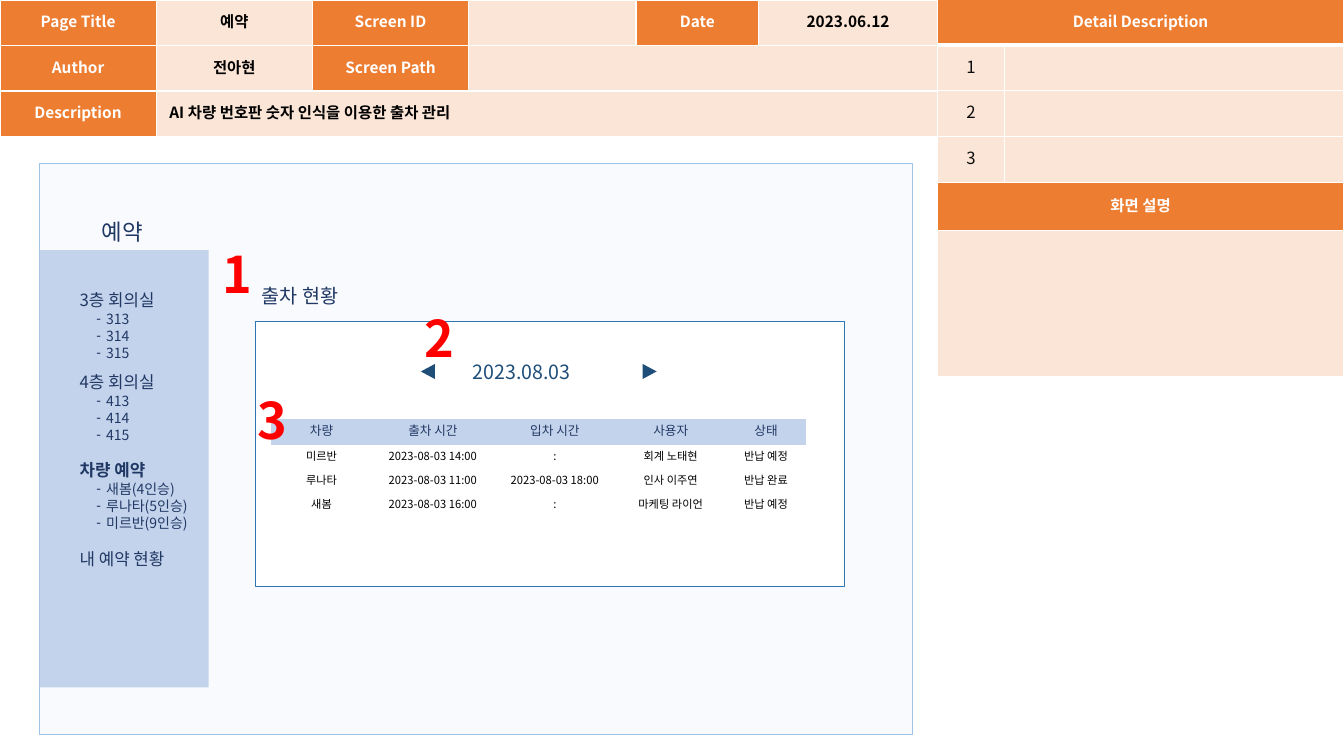
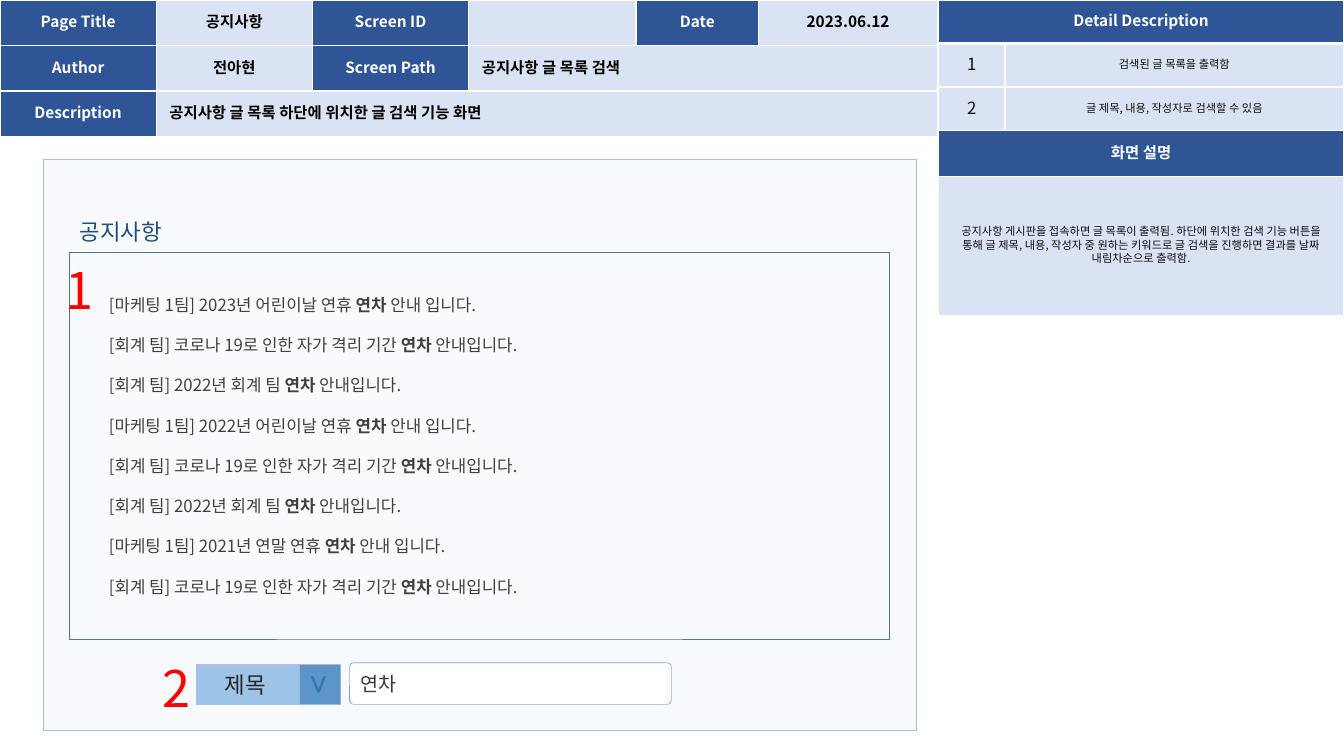
from lxml import etree
from pptx import Presentation
from pptx.dml.color import RGBColor
from pptx.enum.shapes import MSO_SHAPE as Shape
from pptx.enum.text import MSO_ANCHOR as Anchor, MSO_AUTO_SIZE as AutoSize, PP_ALIGN as Align
from pptx.oxml.ns import qn
from pptx.util import Pt

FONT = "Noto Sans CJK KR"
NAVY, BLUE, RED, PALE = "203864", "1F4E79", "FF0000", "F9FAFD"
NO_STYLE = "{2D5ABB26-0587-4C30-8999-92F81FD0307C}"
ORANGE_THEME = {"dark": "ED7D31", "light": "FBE5D6"}
BLUE_THEME = {"dark": "2F5597", "light": "DAE3F3"}

# Cell role: size, bold, colour, fill key, alignment
ROLES = {
    "label": (11, True, "FFFFFF", "dark", Align.CENTER),
    "value": (11, True, "000000", "light", Align.CENTER),
    "sentence": (11, True, "000000", "light", Align.LEFT),
    "number": (12, False, "0D0D0D", "light", Align.CENTER),
    "note": (8, False, "0D0D0D", "light", Align.CENTER),
    "column": (9, False, NAVY, "head", Align.CENTER),
    "data": (8, False, "000000", None, Align.CENTER),
}

# Content
HEADER_WIDTHS = [111.6, 111.6, 111.6, 119.5, 87.8, 127.4]
RESERVATION = {
    "theme": ORANGE_THEME, "title": "예약", "path": "",
    "description": "AI 차량 번호판 숫자 인식을 이용한 출차 관리",
    "details": ["", "", ""], "explanation": "",
    "detail_at": (669.6, -0.5), "detail_widths": [48, 242.4],
    "detail_heights": (32.7, 34.5, 104),
}
NOTICE = {
    "theme": BLUE_THEME, "title": "공지사항", "path": "공지사항 글 목록 검색",
    "description": "공지사항 글 목록 하단에 위치한 글 검색 기능 화면",
    "details": ["검색된 글 목록을 출력함", "글 제목, 내용, 작성자로 검색할 수 있음"],
    "explanation": "공지사항 게시판을 접속하면 글 목록이 출력됨. 하단에 위치한 검색 기능 버튼을 통해 "
                   "글 제목, 내용, 작성자 중 원하는 키워드로 글 검색을 진행하면 결과를 날짜 내림차순으로 출력함.",
    "detail_at": (670.3, 0), "detail_widths": [47.6, 242],
    "detail_heights": (31.1, 32.6, 99.2),
}
# Menu section: heading, bold, space before, entries
MENU = [
    ("3층 회의실", False, 0, ["313", "314", "315"]),
    ("4층 회의실", False, 7.4, ["413", "414", "415"]),
    ("차량 예약", True, 11.7, ["새봄(4인승)", "루나타(5인승)", "미르반(9인승)"]),
    ("내 예약 현황", False, 13, []),
]
TRIP_WIDTHS = [72, 87.1, 87.1, 78.5, 57.6]
TRIP_HEIGHTS = [18.3, 17.2, 17.2, 17.2]
TRIPS = [
    ("차량", "출차 시간", "입차 시간", "사용자", "상태"),
    ("미르반", "2023-08-03 14:00", ":", "회계 노태현", "반납 예정"),
    ("루나타", "2023-08-03 11:00", "2023-08-03 18:00", "인사 이주연", "반납 완료"),
    ("새봄", "2023-08-03 16:00", ":", "마케팅 라이언", "반납 예정"),
]
KEYWORD = "연차"
HOLIDAY = "[마케팅 1팀] 2022년 어린이날 연휴 ", " 안내 입니다."
ISOLATION = "[회계 팀] 코로나 19로 인한 자가 격리 기간 ", " 안내입니다."
ACCOUNTING = "[회계 팀] 2022년 회계 팀 ", " 안내입니다."
POSTS = [
    ("[마케팅 1팀] 2023년 어린이날 연휴 ", " 안내 입니다."), ISOLATION, ACCOUNTING,
    HOLIDAY, ISOLATION, ACCOUNTING,
    ("[마케팅 1팀] 2021년 연말 연휴 ", " 안내 입니다."), ISOLATION,
]


def color(value):
    return RGBColor.from_string(value)


def style(paragraph, size, ink, bold=False, align=Align.LEFT, before=0):
    paragraph.alignment = align
    paragraph.line_spacing = Pt(round(size * 1.2, 2))
    paragraph.space_before, paragraph.space_after = Pt(before), Pt(0)
    font = paragraph.font
    font.name, font.size, font.bold = FONT, Pt(size), bold
    font.color.rgb = color(ink)


def set_bullet(paragraph, character=None, left=0, hanging=0):
    properties = paragraph._p.get_or_add_pPr()
    properties.set("marL", str(Pt(left + hanging)))
    properties.set("indent", str(-Pt(hanging)))
    if character:
        etree.SubElement(properties, qn("a:buChar")).set("char", character)
    else:
        etree.SubElement(properties, qn("a:buNone"))


def place(slide, placeholder, left, top, width, height):
    """Position a placeholder and bring it to the front."""
    placeholder.left, placeholder.top = Pt(left), Pt(top)
    placeholder.width, placeholder.height = Pt(width), Pt(height)
    slide.shapes.element.append(placeholder.element)
    frame = placeholder.text_frame
    frame.word_wrap, frame.auto_size = True, AutoSize.NONE
    frame.vertical_anchor = Anchor.TOP
    return frame


def add_title(slide, text, left, ink):
    frame = place(slide, slide.shapes.title, left, 151.9, 235, 26.6)
    frame.text = text
    style(frame.paragraphs[0], 16, ink)


def add_text(slide, text, left, top, width, size, ink, bold=False):
    box = slide.shapes.add_textbox(Pt(left), Pt(top), Pt(width), Pt(round(size * 1.2 + 7.2, 2)))
    box.text_frame.word_wrap = True
    box.text_frame.text = text
    style(box.text_frame.paragraphs[0], size, ink, bold)


def add_markers(slide, positions, bold):
    for number, (left, top) in enumerate(positions, 1):
        add_text(slide, str(number), left, top, 46, 36, RED, bold)


def add_box(slide, left, top, width, height, fill=None, line=None, weight=0.5,
            kind=Shape.RECTANGLE, rotation=0, opacity=None):
    shape = slide.shapes.add_shape(kind, Pt(left), Pt(top), Pt(width), Pt(height))
    shape.shadow.inherit = False
    shape.rotation = rotation
    if fill:
        shape.fill.solid()
        shape.fill.fore_color.rgb = color(fill)
    else:
        shape.fill.background()
    if opacity:
        solid = shape.element.spPr.find(qn("a:solidFill"))
        etree.SubElement(solid[0], qn("a:alpha")).set("val", str(opacity * 1000))
    if line:
        shape.line.color.rgb = color(line)
        shape.line.width = Pt(weight)
    else:
        shape.line.fill.background()
    return shape


def label_box(shape, text, size, ink, align=Align.LEFT, inset=7.2):
    frame = shape.text_frame
    frame.margin_left, frame.vertical_anchor = Pt(inset), Anchor.MIDDLE
    frame.text = text
    style(frame.paragraphs[0], size, ink, align=align)


def add_border(cell, side, weight):
    line = etree.SubElement(cell._tc.get_or_add_tcPr(), qn(f"a:ln{side}"), w=str(Pt(weight)))
    etree.SubElement(etree.SubElement(line, qn("a:solidFill")), qn("a:srgbClr")).set("val", "FFFFFF")


def add_grid(slide, left, top, widths, heights, rows, fills, form=True, first_border=1):
    """Draw rows of (text, role); None extends the cell on its left."""
    table = slide.shapes.add_table(len(rows), len(widths), Pt(left), Pt(top),
                                   Pt(sum(widths)), Pt(sum(heights))).table
    table._tbl.tblPr.find(qn("a:tableStyleId")).text = NO_STYLE
    for column, width in zip(table.columns, widths):
        column.width = Pt(width)
    for index, (row, height) in enumerate(zip(rows, heights)):
        table.rows[index].height = Pt(height)
        for position, content in enumerate(row):
            cell = table.cell(index, position)
            if form:
                add_border(cell, "L", 1)
                add_border(cell, "R", 1)
                if index == 0:
                    add_border(cell, "T", 1)
                add_border(cell, "B", 1 if index else first_border)
                cell.margin_left = cell.margin_right = Pt(9.4)
                cell.vertical_anchor = Anchor.MIDDLE
            if content is None:
                continue
            text, role = content
            size, bold, ink, fill, align = ROLES[role]
            cell.text = text
            style(cell.text_frame.paragraphs[0], size, ink, bold, align)
            if fill:
                cell.fill.solid()
                cell.fill.fore_color.rgb = color(fills[fill])
            else:
                cell.fill.background()
            end = position
            while end + 1 < len(row) and row[end + 1] is None:
                end += 1
            if end > position:
                cell.merge(table.cell(index, end))


def add_screen(presentation, page):
    """Start a slide with its header and detail tables."""
    slide = presentation.slides.add_slide(presentation.slide_layouts[1])
    header = [
        [("Page Title", "label"), (page["title"], "value"), ("Screen ID", "label"),
         ("", "value"), ("Date", "label"), ("2023.06.12", "value")],
        [("Author", "label"), ("전아현", "value"), ("Screen Path", "label"),
         (page["path"], "sentence"), None, None],
        [("Description", "label"), (page["description"], "sentence")] + [None] * 4,
    ]
    add_grid(slide, 0, 0, HEADER_WIDTHS, [32.5] * 3, header, page["theme"])
    numbered = [[(str(number), "number"), (text, "note")]
                for number, text in enumerate(page["details"], 1)]
    details = [[("Detail Description", "label"), None], *numbered,
               [("화면 설명", "label"), None], [(page["explanation"], "note"), None]]
    row, heading, explanation = page["detail_heights"]
    heights = [row] * (len(numbered) + 1) + [heading, explanation]
    add_grid(slide, *page["detail_at"], page["detail_widths"], heights, details,
             page["theme"], first_border=3)
    return slide


def add_menu(slide):
    frame = place(slide, slide.placeholders[1], 49.7, 203, 110, 209.5)
    frame.margin_right = 0
    paragraph = frame.paragraphs[0]
    for heading, bold, gap, entries in MENU:
        if gap:
            paragraph = frame.add_paragraph()
        paragraph.text = heading
        set_bullet(paragraph)
        style(paragraph, 12, NAVY, bold, before=gap)
        for index, entry in enumerate(entries):
            paragraph = frame.add_paragraph()
            paragraph.text = entry
            set_bullet(paragraph, "-", left=12, hanging=7)
            style(paragraph, 10, NAVY, before=0 if index else 0.8)


def build_reservation(presentation):
    slide = add_screen(presentation, RESERVATION)
    add_box(slide, 28.1, 116.6, 623.5, 408.2, PALE, "9DC3E6")
    add_title(slide, RESERVATION["title"], 65.5, NAVY)
    # Side menu
    add_box(slide, 28.1, 178.6, 121, 312.5, "B4C7E7", opacity=76)
    add_menu(slide)
    # Departure board
    add_box(slide, 182, 229.3, 421.2, 189.4, "FFFFFF", "2E75B6", 0.25)
    add_text(slide, "출차 현황", 180, 199.4, 188, 14, NAVY)
    add_text(slide, "2023.08.03", 330.5, 253.4, 173, 14, BLUE)
    for left, rotation in ((300.3, 270), (458.6, 90)):
        add_box(slide, left, 260.3, 10.8, 10.1, BLUE, kind=Shape.ISOSCELES_TRIANGLE, rotation=rotation)
    trips = [[(text, "data" if index else "column") for text in row]
             for index, row in enumerate(TRIPS)]
    add_grid(slide, 193.7, 299.5, TRIP_WIDTHS, TRIP_HEIGHTS, trips, {"head": "C4D3EC"}, form=False)
    add_markers(slide, [(151.9, 169.9), (295.9, 216), (177.1, 274.3)], bold=True)


def build_notice(presentation):
    slide = add_screen(presentation, NOTICE)
    add_box(slide, 31, 113.8, 623.5, 408.2, PALE, "9DC3E6")
    add_title(slide, NOTICE["title"], 49.7, BLUE)
    # Post list
    add_box(slide, 49.7, 180, 585.4, 276.5, line="4F7496")
    frame = place(slide, slide.placeholders[1], 70.6, 206.6, 409.7, 239.8)
    for index, (start, end) in enumerate(POSTS):
        paragraph = frame.add_paragraph() if index else frame.paragraphs[0]
        for text in (start, KEYWORD, end):
            run = paragraph.add_run()
            run.text = text
            if text == KEYWORD:
                run.font.bold = True
        set_bullet(paragraph)
        style(paragraph, 12, "404040", before=14.4 if index else 0)
    # Search bar
    field = add_box(slide, 249.8, 473.5, 229.7, 29.5, "FFFFFF", "2E75B6", 0.25, Shape.ROUNDED_RECTANGLE)
    field.adjustments[0] = 0.09
    label_box(field, KEYWORD, 14, "3B3838")
    selector = add_box(slide, 140.4, 475, 103, 28.1, "9DC3E6", "ABC0E4", 1)
    label_box(selector, "제목", 16, "262626", inset=20)
    arrow = add_box(slide, 214.6, 474.5, 28.1, 28.8, "2E75B6", rotation=90, opacity=58)
    label_box(arrow, ">", 24, "2E75B6", Align.CENTER)
    add_markers(slide, [(39.6, 181.4), (108.7, 465.8)], bold=False)


def main():
    presentation = Presentation()
    presentation.slide_width, presentation.slide_height = Pt(960), Pt(540)
    build_reservation(presentation)
    build_notice(presentation)
    presentation.save("out.pptx")


if __name__ == "__main__":
    main()
